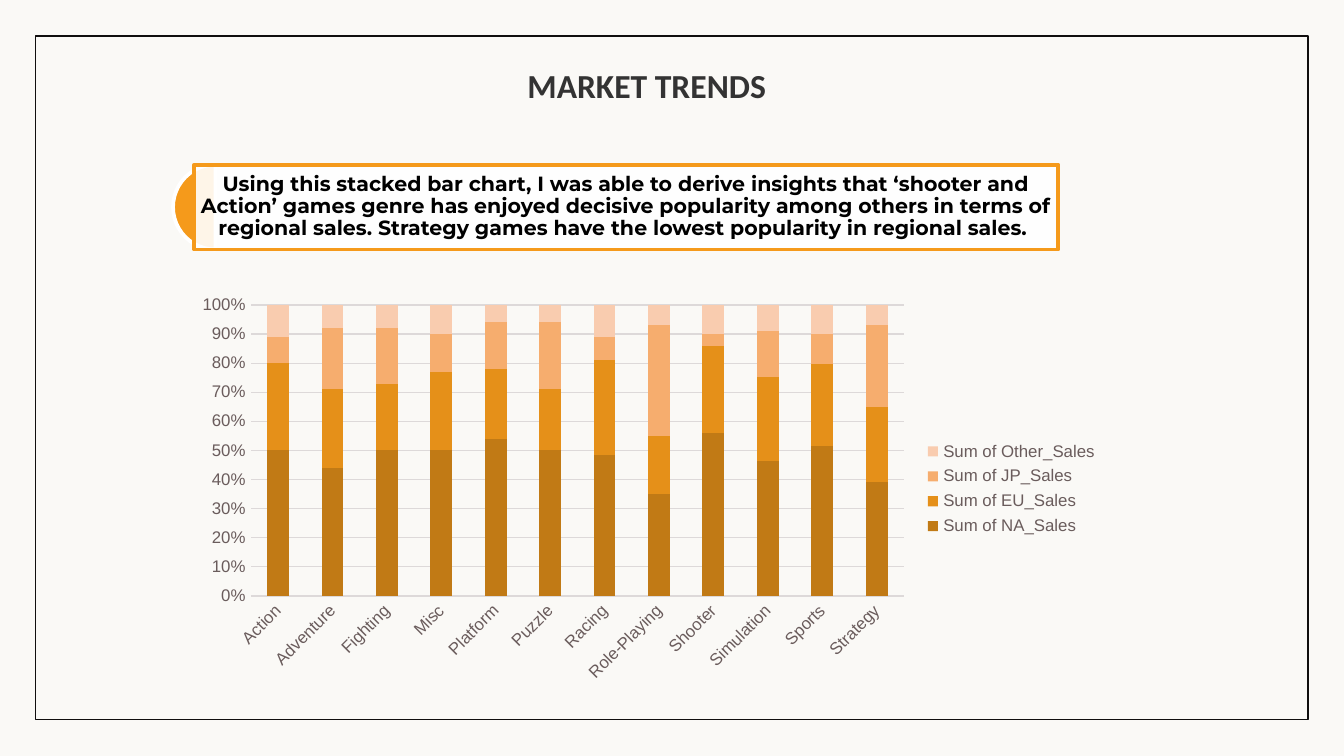
from pptx import Presentation
from pptx.chart.data import CategoryChartData
from pptx.dml.color import RGBColor
from pptx.enum.chart import XL_CHART_TYPE as CT, XL_LEGEND_POSITION as LP, XL_TICK_MARK as TM
from pptx.enum.shapes import MSO_SHAPE as SHP
from pptx.enum.text import MSO_ANCHOR as ANC, PP_ALIGN as AL
from pptx.oxml.ns import qn
from pptx.util import Emu, Pt
from lxml import etree

PX = 5715  # 160 px to the inch
ORANGE, WHITE, INK, GREY, GRID = "F59A1B", "FFFFFF", "100E0E", "6A5C5C", "DDD9D9"

CATS = ["Action", "Adventure", "Fighting", "Misc", "Platform", "Puzzle", "Racing",
        "Role-Playing", "Shooter", "Simulation", "Sports", "Strategy"]
SALES = [
    ("Sum of NA_Sales", "C17A15", [50, 44, 50, 50, 54, 50, 49, 35, 56, 47, 51, 39]),
    ("Sum of EU_Sales", "E59019", [30, 27, 23, 27, 24, 21, 33, 20, 30, 29, 28, 26]),
    ("Sum of JP_Sales", "F6AD6E", [9, 21, 19, 13, 16, 23, 8, 38, 4, 16, 10, 28]),
    ("Sum of Other_Sales", "F9CCAF", [11, 8, 8, 10, 6, 6, 11, 7, 10, 9, 10, 7]),
]


def px(*lengths):
    return [Emu(n * PX) for n in lengths]


def rgb(code):
    return RGBColor.from_string(code)


def set_font(font, name, size, color, bold=False):
    font.name, font.size, font.bold = name, Pt(size), bold
    font.color.rgb = rgb(color)


def set_line(line, color, width):
    line.color.rgb = rgb(color)
    line.width = Pt(width)


def add_shape(s, kind, box, line, width, fill=None, alpha=None):
    sp = s.shapes.add_shape(kind, *px(*box))
    sp.shadow.inherit = False
    set_line(sp.line, line, width)
    if fill is None:
        sp.fill.background()
        return sp
    sp.fill.solid()
    sp.fill.fore_color.rgb = rgb(fill)
    if alpha:
        clr = sp.fill._xPr.find(qn("a:solidFill"))[0]
        etree.SubElement(clr, qn("a:alpha")).set("val", str(alpha * 1000))
    return sp


def add_text(s, box, text, font, size, color, inset, spacing=None):
    """Bold, centred text in the middle of the box."""
    tf = s.shapes.add_textbox(*px(*box)).text_frame
    tf.word_wrap = True
    tf.vertical_anchor = ANC.MIDDLE
    tf.margin_left = tf.margin_top = tf.margin_right = tf.margin_bottom = Emu(inset * PX)
    p = tf.paragraphs[0]
    p.alignment = AL.CENTER
    if spacing:
        p.line_spacing = spacing
    r = p.add_run()
    r.text = text
    set_font(r.font, font, size, color, bold=True)


def add_callout(s, box, text):
    """Half disc peeking out on the left of an outlined text panel."""
    x, y, w, h = box
    pie = add_shape(s, SHP.PIE, (x, y, h, h), WHITE, 2, ORANGE)
    pie.adjustments[0], pie.adjustments[1] = 54, 162
    indent = h // 4
    panel = (x + indent, y, w - indent, h)
    add_shape(s, SHP.RECTANGLE, panel, ORANGE, 2, WHITE, alpha=90)
    add_text(s, panel, text, "Montserrat", 11, "000000", 8, 0.9)


def add_sales_chart(s, box):
    data = CategoryChartData()
    data.categories = CATS
    for name, _, values in SALES:
        data.add_series(name, values)
    chart = s.shapes.add_chart(CT.COLUMN_STACKED_100, *px(*box), data).chart
    set_font(chart.font, "Arial", 10, INK)
    chart.has_title = False

    plot = chart.plots[0]
    plot.gap_width, plot.overlap, plot.vary_by_categories = 150, 100, False
    for series, (_, color, _) in zip(plot.series, SALES):
        series.format.fill.solid()
        series.format.fill.fore_color.rgb = rgb(color)

    cat, val = chart.category_axis, chart.value_axis
    for axis in (cat, val):
        axis.major_tick_mark = axis.minor_tick_mark = TM.NONE
        set_font(axis.tick_labels.font, "Arial", 9, GREY)
    set_line(cat.format.line, GRID, 0.75)
    cat._element.txPr.bodyPr.set("rot", str(-45 * 60000))
    val.format.line.fill.background()
    val.has_major_gridlines = True
    set_line(val.major_gridlines.format.line, GRID, 0.75)
    val.tick_labels.number_format = "0%"
    val.tick_labels.number_format_is_linked = False

    chart.has_legend = True
    chart.legend.position = LP.RIGHT
    chart.legend.include_in_layout = False
    set_font(chart.legend.font, "Arial", 9, GREY)


def main():
    prs = Presentation()
    prs.slide_width, prs.slide_height = px(1600, 900)
    s = prs.slides.add_slide(prs.slide_layouts[6])
    s.background.fill.solid()
    s.background.fill.fore_color.rgb = rgb("FAF9F6")

    add_shape(s, SHP.RECTANGLE, (42, 43, 1515, 814), INK, 0.75)
    add_text(s, (347, 51, 846, 101), "MARKET TRENDS", "Calibri", 18, "333333", 16)
    add_callout(s, (206, 196, 1054, 101),
                "Using this stacked bar chart, I was able to derive insights that ‘shooter and "
                "Action’ games genre has enjoyed decisive popularity among others in terms of "
                "regional sales. Strategy games have the lowest popularity in regional sales. ")
    add_sales_chart(s, (219, 342, 1104, 480))
    prs.save("out.pptx")


if __name__ == "__main__":
    main()
